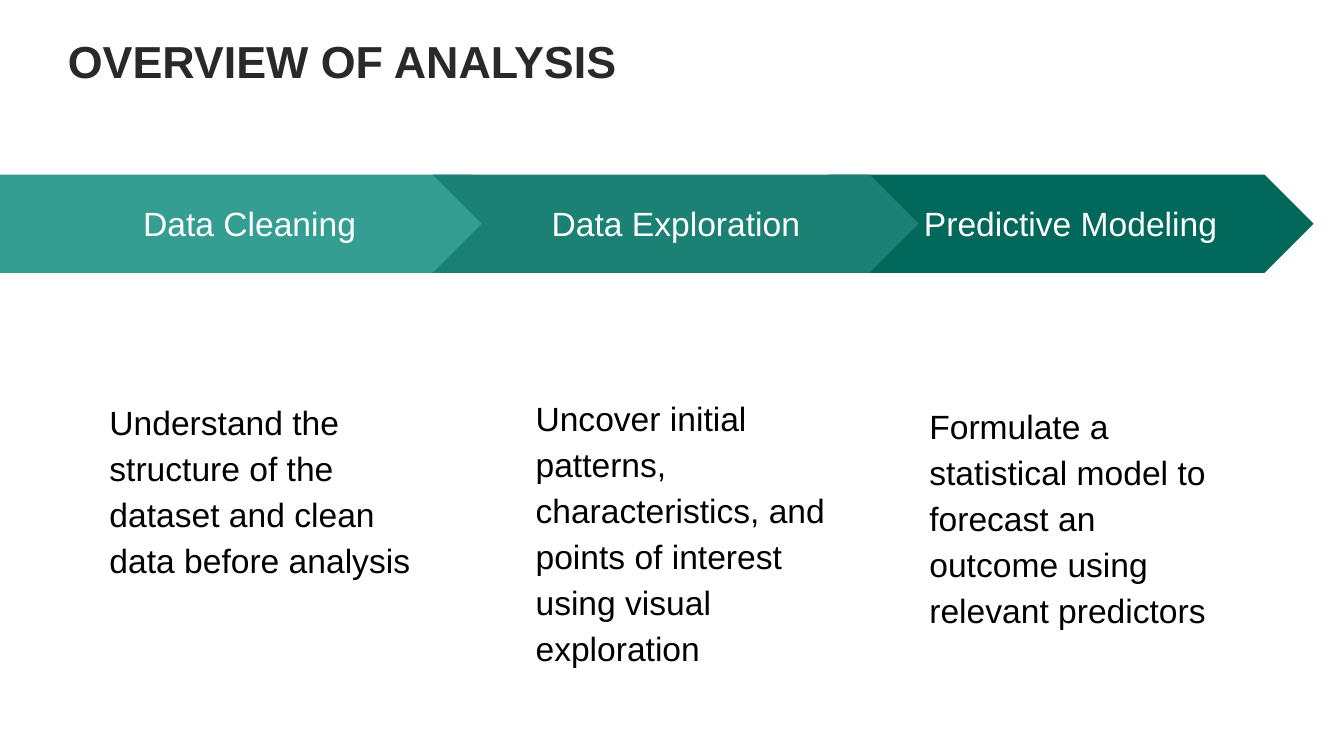
"""Build the overview slide: three process arrows, each with a description."""
from pptx import Presentation
from pptx.dml.color import RGBColor
from pptx.enum.shapes import MSO_SHAPE
from pptx.util import Pt

PX = 4572
ARROW_TOP, ARROW_HEIGHT = 260, 146
LABEL_TOP, LABEL_HEIGHT = 300, 66


def color(hex_code):
    return RGBColor.from_string(hex_code)


def add_text(page, place, text, size, hex_code, bold=False, line_spacing=1.0):
    box = page.shapes.add_textbox(*[n * PX for n in place])
    frame = box.text_frame
    frame.word_wrap = True
    frame.margin_left = 3 * PX
    frame.margin_right = frame.margin_bottom = 0
    frame.margin_top = 2 * PX
    frame.text = text
    para = frame.paragraphs[0]
    para.line_spacing = line_spacing
    font = para.runs[0].font
    font.name = "Arial"
    font.size = Pt(size)
    font.bold = bold
    font.color.rgb = color(hex_code)


deck = Presentation()
deck.slide_width, deck.slide_height = 2000 * PX, 1125 * PX
page = deck.slides.add_slide(deck.slide_layouts[6])

add_text(page, (98, 48, 878, 86), "OVERVIEW OF ANALYSIS", 24, "292929", bold=True)

steps = [
    (MSO_SHAPE.CHEVRON, 1232, 723, "00695C", "Predictive Modeling", 1372, 442,
     "Formulate a statistical model to forecast an outcome using relevant predictors",
     (1380, 594, 416, 350)),
    (MSO_SHAPE.PENTAGON, 0, 776, "359E93", "Data Cleaning", 210, 322,
     "Understand the structure of the dataset and clean data before analysis",
     (160, 588, 452, 282)),
    (MSO_SHAPE.CHEVRON, 644, 723, "1C8175", "Data Exploration", 818, 374,
     "Uncover initial patterns, characteristics, and points of interest using visual exploration",
     (794, 582, 436, 420)),
]

for kind, left, width, fill, label, label_left, label_width, description, place in steps:
    arrow = page.shapes.add_shape(
        kind, left * PX, ARROW_TOP * PX, width * PX, ARROW_HEIGHT * PX)
    arrow.shadow.inherit = False
    arrow.fill.solid()
    arrow.fill.fore_color.rgb = color(fill)
    arrow.line.fill.background()
    add_text(page, (label_left, LABEL_TOP, label_width, LABEL_HEIGHT), label, 18, "FFFFFF")
    add_text(page, place, description, 18, "000000", line_spacing=1.14)

deck.save("out.pptx")
